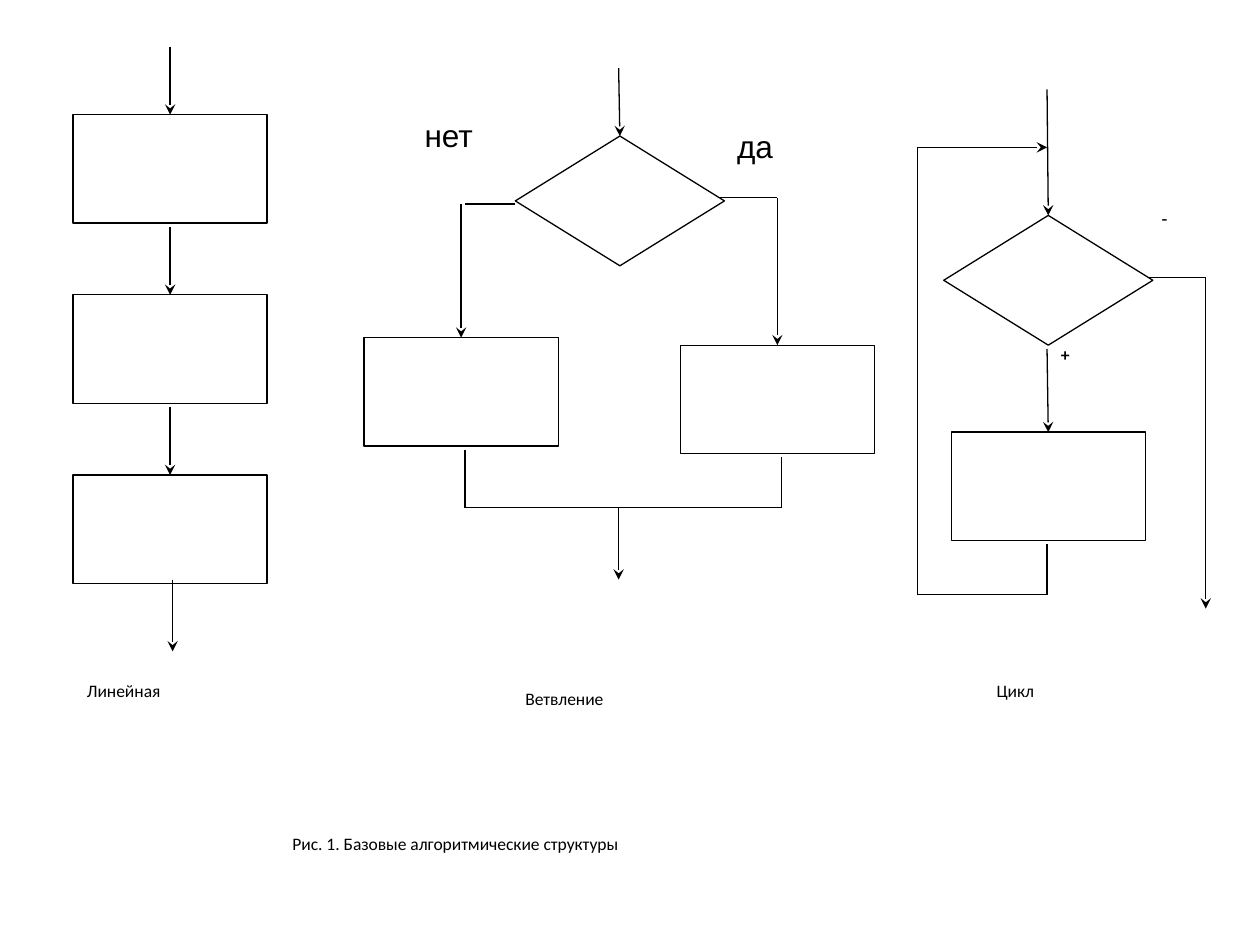
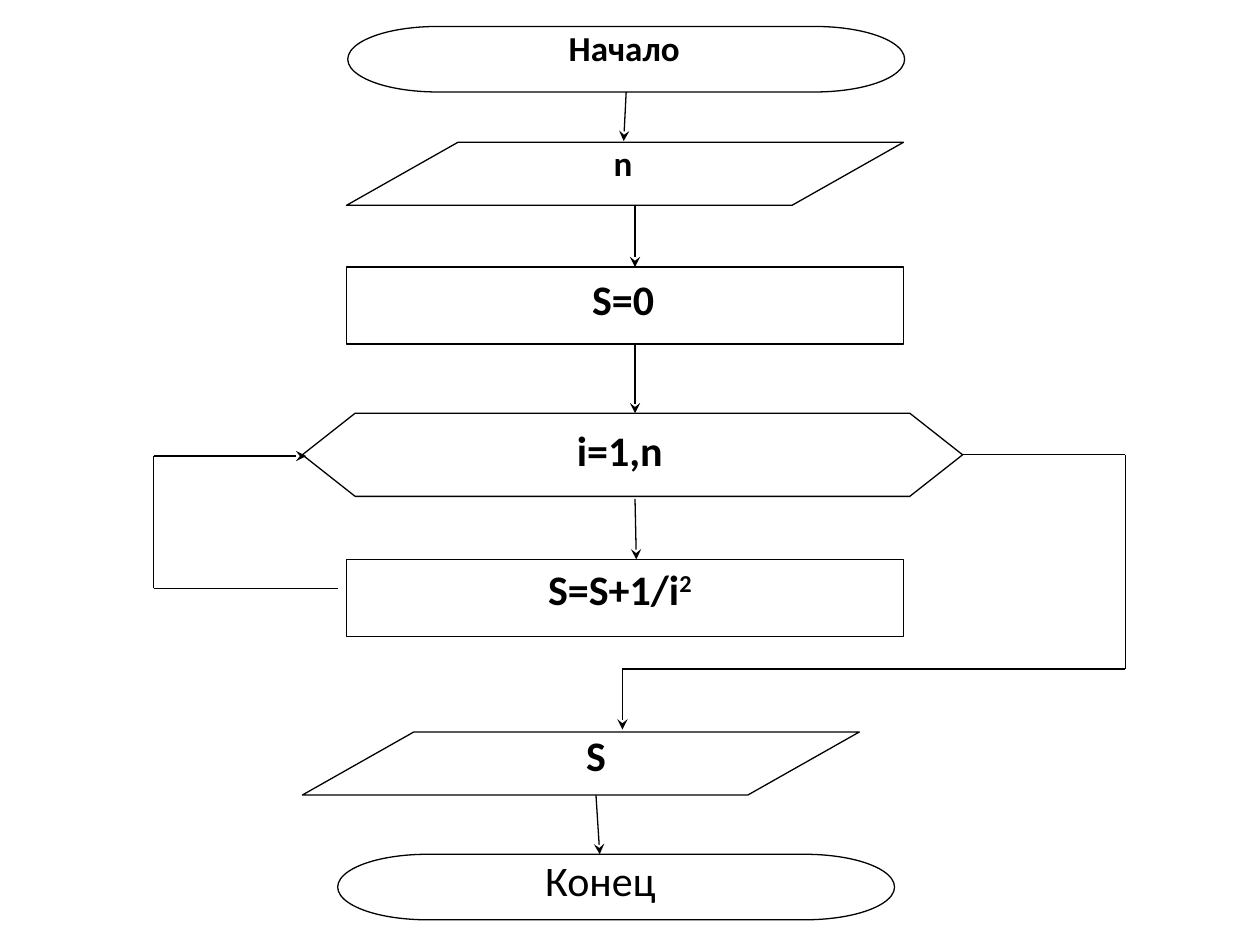
from dataclasses import dataclass
from lxml import etree
from pptx import Presentation
from pptx import util as u
from pptx.dml.color import RGBColor
from pptx.enum import shapes, text
from pptx.oxml.ns import qn


@dataclass(frozen=True)
class Theme:
    ink: RGBColor = RGBColor(0, 0, 0)
    paper: RGBColor = RGBColor(255, 255, 255)
    body: str = "Calibri"
    answer: str = "Arial"
    sign: str = "Times New Roman"
    caption: int = 10
    choice: int = 18
    step: int = 20
    formula: int = 24
    stroke: float = 0.75
    after: int = 10


T = Theme()
G = shapes.MSO_SHAPE
LEFT, CENTER = text.PP_ALIGN.LEFT, text.PP_ALIGN.CENTER
TOP, BOTTOM = 0, 2  # connection sites

prs = Presentation()
prs.slide_width, prs.slide_height = u.Inches(10), u.Inches(7.5)
# Grid of 100 columns by 75 rows
COL, ROW = prs.slide_width / 100, prs.slide_height / 75


def block(s, kind, x, y, w, h, words="", size=T.caption, font=T.body,
          bold=False, align=LEFT, outline=True, sup=""):
    """Add a flowchart block, or a plain text box when kind is None."""
    box = int(x * COL), int(y * ROW), int(w * COL), int(h * ROW)
    if kind is None:
        sp = s.shapes.add_textbox(*box)
    else:
        sp = s.shapes.add_shape(kind, *box)
        sp.shadow.inherit = False
        sp.fill.solid()
        sp.fill.fore_color.rgb = T.paper
        if outline:
            sp.line.color.rgb = T.ink
            sp.line.width = u.Pt(T.stroke)
        else:
            sp.line.fill.background()
    if words:
        tf = sp.text_frame
        tf.word_wrap = True
        tf.vertical_anchor = text.MSO_ANCHOR.TOP
        tf.margin_left = tf.margin_top = tf.margin_right = tf.margin_bottom = 0
        p = tf.paragraphs[0]
        p.text = words
        p.alignment = align
        p.space_after = u.Pt(T.after)
        if sup:
            r = p.add_run()
            r.text = sup
            r._r.get_or_add_rPr().set("baseline", "30000")
        for r in p.runs:
            r.font.size, r.font.name, r.font.bold = u.Pt(size), font, bold
            r.font.color.rgb = T.ink
    return sp


def link(s, x1, y1, x2, y2, arrow=False, start=None, end=None):
    """Add a straight line; start and end are (shape, site) joints."""
    c = s.shapes.add_connector(shapes.MSO_CONNECTOR.STRAIGHT, int(x1 * COL),
                               int(y1 * ROW), int(x2 * COL), int(y2 * ROW))
    c.line.color.rgb = T.ink
    c.line.width = u.Pt(T.stroke)
    if arrow:
        etree.SubElement(c.line._get_or_add_ln(), qn("a:tailEnd"), type="stealth")
    etree.SubElement(c._element.spPr, qn("a:effectLst"))
    if start:
        c.begin_connect(*start)
    if end:
        c.end_connect(*end)


# Slide 1: basic algorithmic structures
s = prs.slides.add_slide(prs.slide_layouts[6])
STEP = 15.4, 8.6
TEST = 16.6, 10.3

# Linear sequence
for i in range(3):
    y = 9.1 + 14.3 * i
    sp = block(s, G.FLOWCHART_PROCESS, 5.8, y, *STEP)
    link(s, 13.5, y - 5.4, 13.5, y, True, end=(sp, TOP))
link(s, 13.7, 46, 13.7, 51.7, True)

# Branch
test = block(s, G.DIAMOND, 40.9, 10.8, *TEST)
no = block(s, G.FLOWCHART_PROCESS, 28.9, 26.8, *STEP)
yes = block(s, G.FLOWCHART_PROCESS, 54, 27.4, *STEP)
link(s, 49.1, 5.4, 49.1, 10.8, True, end=(test, TOP))
link(s, 40.9, 16.2, 36.9, 16.2)
link(s, 36.6, 16.2, 36.6, 26.8, True, end=(no, TOP))
link(s, 57.1, 15.7, 61.7, 15.7)
link(s, 61.7, 15.7, 61.7, 27.4, True, end=(yes, TOP))
link(s, 36.9, 40.3, 62, 40.3)
for x, y in [(36.9, 35.7), (62, 36.3)]:
    link(s, x, 40.3, x, y)
link(s, 49.1, 40.3, 49.1, 46, True)

# Loop
test = block(s, G.DIAMOND, 74.9, 17.1, *TEST)
body = block(s, G.FLOWCHART_PROCESS, 75.5, 34.3, *STEP)
link(s, 83.1, 7.1, 83.1, 17.1, True, end=(test, TOP))
link(s, 91.1, 22, 95.7, 22)
link(s, 95.7, 22, 95.7, 48.3, True)
link(s, 83.1, 27.7, 83.1, 34.3, True, end=(body, TOP))
back = [(83.1, 43.2), (83.1, 47.2), (72.8, 47.2), (72.8, 11.7), (83.1, 11.7)]
for i, (a, b) in enumerate(zip(back, back[1:])):
    link(s, *a, *b, arrow=i == len(back) - 2)

# Captions
for x, y, w, words in [
    (6.9, 54, 13.7, "Линейная"),
    (41.7, 54.6, 14.6, "Ветвление"),
    (79.1, 54, 8.3, "Цикл"),
    (23.2, 66.1, 54.2, "Рис. 1. Базовые алгоритмические структуры"),
]:
    block(s, G.RECTANGLE, x, y, w, 6.9, words, outline=False)

# Answers beside the tests
for x, y, w, words, size, font, bold in [
    (58.5, 10.1, 5.1, "да", T.choice, T.answer, False),
    (33.7, 9.2, 5.1, "нет", T.choice, T.answer, False),
    (84.2, 27.3, 2.6, "+", T.caption, T.body, True),
    (92.2, 16.4, 2.6, "-", T.caption, T.sign, True),
]:
    block(s, None, x, y, w, 6.3, words, size, font, bold)

# Slide 2: flowchart of the sum
s = prs.slides.add_slide(prs.slide_layouts[6])

# Blocks, top to bottom
WIDE = 44.2
begin = block(s, G.FLOWCHART_TERMINATOR, 27.6, 2.1, WIDE, 5.2)
for kind, x, y, h in [
    (G.FLOWCHART_DATA, 27.5, 11.3, 5),
    (G.RECTANGLE, 27.5, 21.2, 6.1),
    (G.RECTANGLE, 27.5, 44.4, 6.1),
    (G.FLOWCHART_DATA, 24, 58.1, 5),
    (G.FLOWCHART_TERMINATOR, 26.8, 67.8, 5.2),
]:
    block(s, kind, x, y, WIDE, h)
counter = block(s, G.HEXAGON, 24, 32.8, 52.4, 6.6)
counter.adjustments[0], counter.adjustments[1] = 0.635, 1.155

# Block texts
for x, y, w, words, sup, size, bold in [
    (29.7, 2.1, 39.7, "Начало", "", T.step, True),
    (38, 11.2, 22.9, "n", "", T.step, True),
    (38, 21.7, 22.9, "S=0", "", T.formula, True),
    (32.5, 33.7, 33.4, "i=1,n", "", T.formula, True),
    (32.5, 44.7, 33.4, "S=S+1/i", "2", T.formula, True),
    (33.7, 57.9, 27.2, "S", "", T.formula, True),
    (27.8, 67.8, 39.7, "Конец", "", T.formula, False),
]:
    block(s, None, x, y, w, 5.2, words, size, bold=bold, align=CENTER, sup=sup)

# Arrows down
link(s, 49.6, 7.2, 49.5, 11.2, True, start=(begin, BOTTOM))
for x1, y1, x2, y2 in [
    (50.4, 16.3, 50.4, 21.2),
    (50.4, 27.2, 50.4, 32.8),
    (50.4, 39.6, 50.5, 44.4),
    (47.3, 63.1, 47.6, 67.8),
]:
    link(s, x1, y1, x2, y2, True)

# Return to the counter, and the way out of the loop
for route in [
    [(26.8, 46.7), (12.2, 46.7), (12.2, 36.2), (24.3, 36.2)],
    [(76.4, 36.1), (89.3, 36.1), (89.3, 53.1), (49.4, 53.1), (49.4, 57.9)],
]:
    for i, (a, b) in enumerate(zip(route, route[1:])):
        link(s, *a, *b, arrow=i == len(route) - 2)

prs.save("out.pptx")
